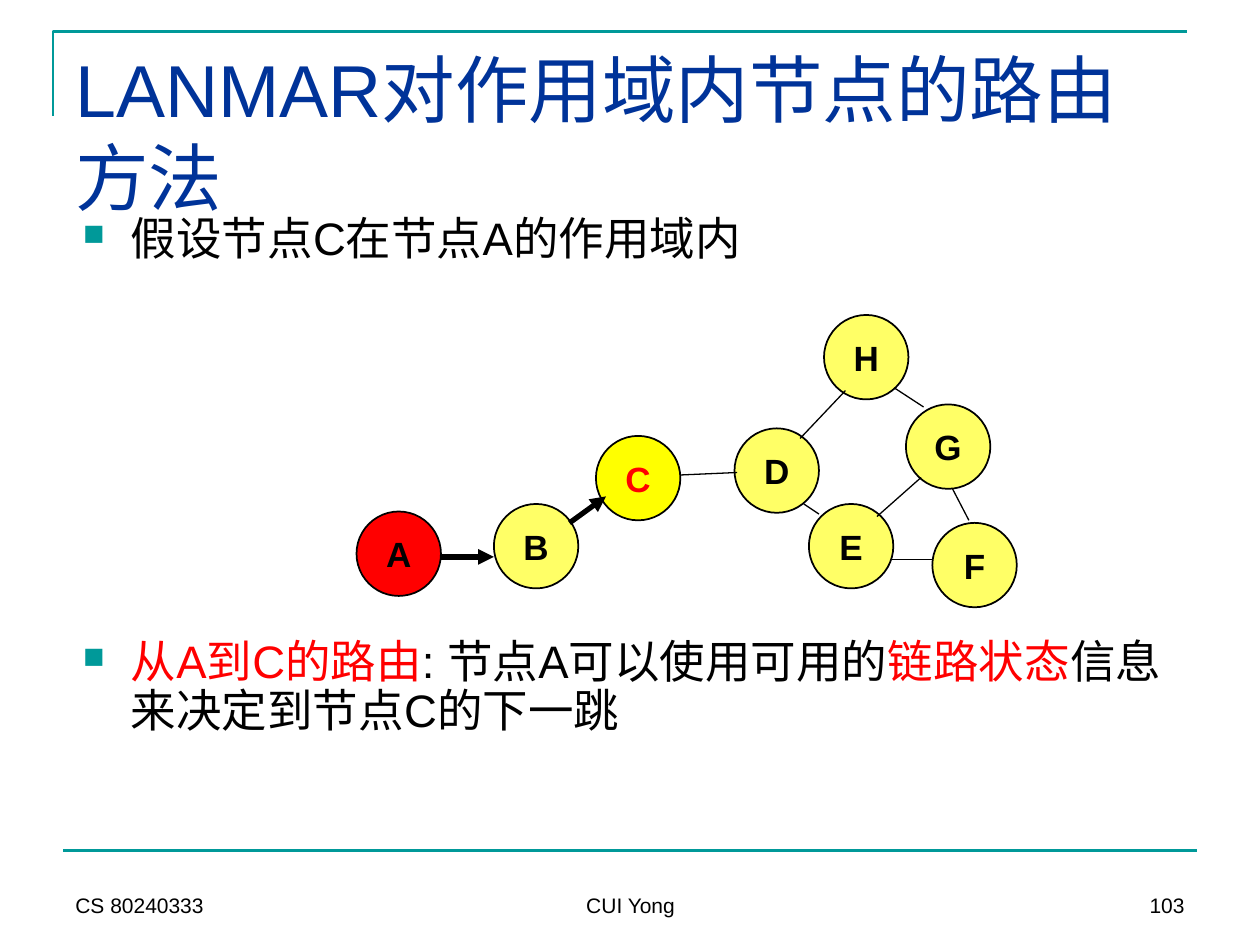
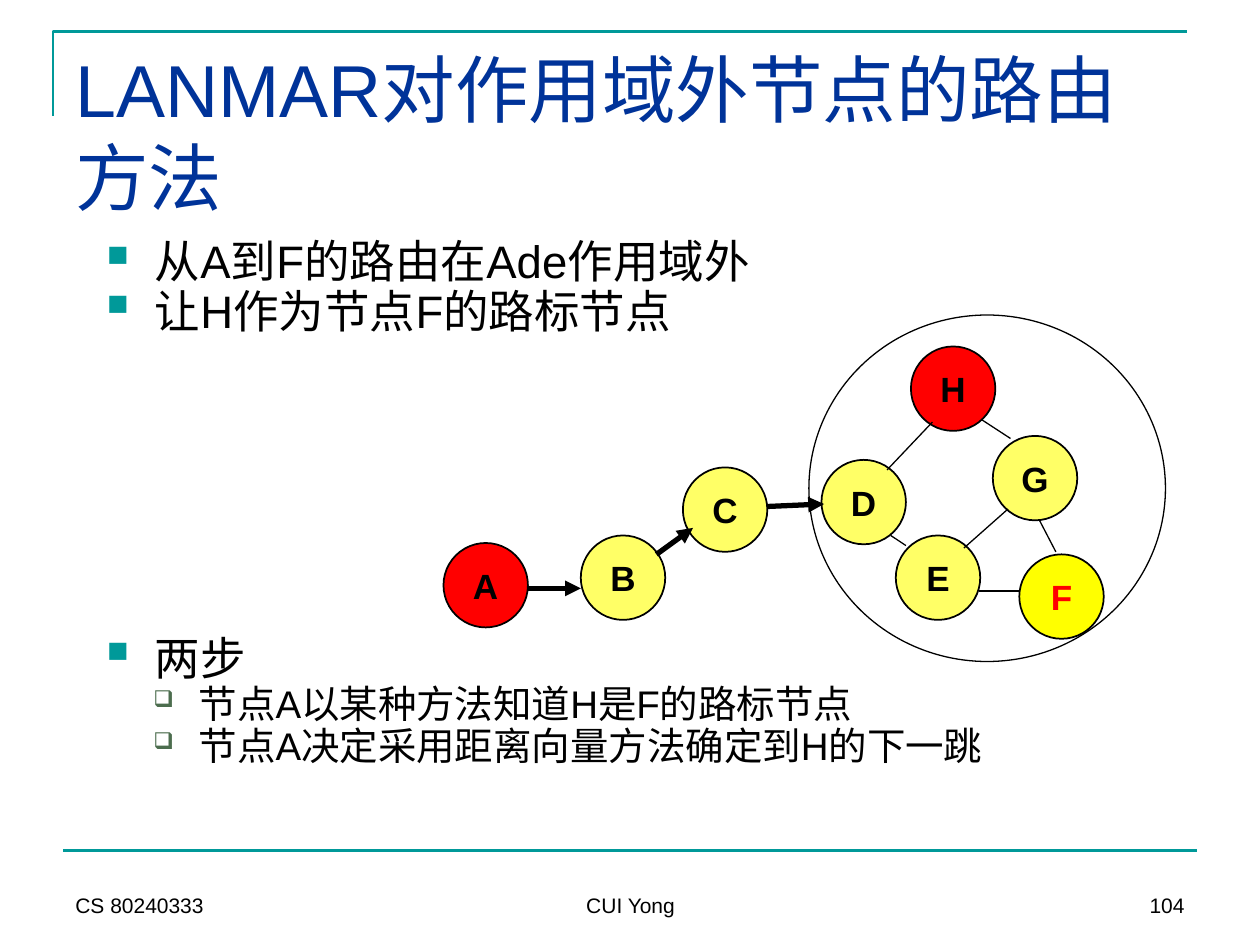
from lxml.etree import SubElement
from pptx import Presentation
from pptx.dml.color import RGBColor
from pptx.enum.shapes import MSO_CONNECTOR, MSO_SHAPE
from pptx.enum.text import MSO_ANCHOR, PP_ALIGN
from pptx.oxml.ns import qn
from pptx.util import Inches, Pt

TEAL, NAVY, BLACK = "009999", "003399", "000000"
RED, YELLOW, PALE = "FF0000", "FFFF00", "FFFF66"
SIZE = 0.67
NODES = {
    "A": (2.83, 4.06), "B": (3.92, 4), "C": (4.73, 3.46), "F": (7.4, 4.15),
    "H": (6.54, 2.5), "G": (7.19, 3.21), "E": (6.42, 4), "D": (5.83, 3.4),
}
EDGES = {
    "HG": (7.1, 3.08, 7.33, 3.23), "GF": (7.56, 3.88, 7.69, 4.13),
    "HD": (6.71, 3.1, 6.35, 3.48), "AB": (3.5, 4.42, 3.92, 4.42),
    "BC": (4.52, 4.15, 4.81, 3.94), "CD": (5.4, 3.77, 5.85, 3.75),
    "DE": (6.38, 4, 6.5, 4.08), "EF": (7.08, 4.44, 7.4, 4.44),
    "EG": (6.96, 4.1, 7.31, 3.79),
}
LEVELS = [
    dict(left=0.38, hang=0.38, size=26, before=6.5, mark="■", tint=TEAL, scale=65),
    dict(left=0.73, hang=0.36, size=22, before=5.5, mark="❑", tint="4C6D4E", scale=60),
]


def color(code):
    return RGBColor.from_string(code)


class Deck:
    """Holds the shared style and the slide being built."""

    def __init__(self):
        self.prs = Presentation()
        self.prs.slide_width, self.prs.slide_height = Inches(10), Inches(7.5)

    def page(self, title, number):
        self.slide = self.prs.slides.add_slide(self.prs.slide_layouts[6])
        self.shapes = self.slide.shapes
        self.frame()
        self.line(0.5, 6.75, 9.5, 6.75, TEAL, 1.5)
        foot = [(0.5, 2.33, "CS 80240333", PP_ALIGN.LEFT),
                (3.42, 3.17, "CUI Yong", PP_ALIGN.CENTER),
                (7.17, 2.33, str(number), PP_ALIGN.RIGHT)]
        for left, width, text, align in foot:
            self.text(left, 6.83, width, 0.5, text, 12, BLACK, align, MSO_ANCHOR.BOTTOM)
        self.text(0.5, 0.3, 9, 1.25, title, 42, NAVY)

    def frame(self):
        pen = self.shapes.build_freeform(Inches(0.42), Inches(0.92))
        pen.add_line_segments([(Inches(0.42), Inches(0.25)),
                               (Inches(9.42), Inches(0.25))], close=False)
        shape = pen.convert_to_shape()
        shape.shadow.inherit = False
        shape.fill.background()
        self.stroke(shape, TEAL, 1.5)

    def stroke(self, shape, code, width):
        shape.line.color.rgb = color(code)
        shape.line.width = Pt(width)

    def font(self, para, size, code=None, bold=False):
        para.font.name = "Arial"
        para.font.size = Pt(size)
        para.font.bold = bold
        if code:
            para.font.color.rgb = color(code)

    def box(self, left, top, width, height, anchor=MSO_ANCHOR.TOP):
        frame = self.shapes.add_textbox(*map(Inches, (left, top, width, height))).text_frame
        frame.word_wrap = True
        frame.vertical_anchor = anchor
        return frame

    def text(self, left, top, width, height, text, size, code,
             align=PP_ALIGN.LEFT, anchor=MSO_ANCHOR.TOP):
        para = self.box(left, top, width, height, anchor).paragraphs[0]
        para.text = text
        para.alignment = align
        self.font(para, size, code)

    def bullet(self, para, left, hang, mark, tint, scale):
        props = para._p.get_or_add_pPr()
        props.set("marL", str(Inches(left)))
        props.set("indent", str(-Inches(hang)))
        SubElement(SubElement(props, qn("a:buClr")), qn("a:srgbClr"), val=tint)
        SubElement(props, qn("a:buSzPct"), val=str(scale * 1000))
        SubElement(props, qn("a:buChar"), char=mark)

    def body(self, left, top, width, height, items, pitch):
        """Adds bullets given as (level, extra gap, text or coloured runs)."""
        frame = self.box(left, top, width, height)
        for pos, (level, gap, parts) in enumerate(items):
            para = frame.add_paragraph() if pos else frame.paragraphs[0]
            look = dict(LEVELS[level])
            size, before = look.pop("size"), look.pop("before")
            self.bullet(para, **look)
            para.level = level
            para.line_spacing = pitch
            para.space_before = Pt(before + gap if pos else 0)
            if isinstance(parts, str):
                para.text = parts
                self.font(para, size, BLACK)
                continue
            self.font(para, size)
            for text, code in parts:
                run = para.add_run()
                run.text = text
                run.font.color.rgb = color(code)

    def oval(self, left, top, width, height, fill=None, weight=0.75):
        shape = self.shapes.add_shape(
            MSO_SHAPE.OVAL, *map(Inches, (left, top, width, height)))
        shape.shadow.inherit = False
        if fill:
            shape.fill.solid()
            shape.fill.fore_color.rgb = color(fill)
        else:
            shape.fill.background()
        self.stroke(shape, BLACK, weight)
        return shape

    def node(self, left, top, name, fill, ink):
        frame = self.oval(left, top, SIZE, SIZE, fill, 1).text_frame
        frame.word_wrap = False
        frame.vertical_anchor = MSO_ANCHOR.MIDDLE
        para = frame.paragraphs[0]
        para.text = name
        para.alignment = PP_ALIGN.CENTER
        self.font(para, 20, ink, True)

    def line(self, x1, y1, x2, y2, code=BLACK, width=0.75, arrow=False):
        link = self.shapes.add_connector(
            MSO_CONNECTOR.STRAIGHT, *map(Inches, (x1, y1, x2, y2)))
        self.stroke(link, code, width)
        SubElement(link._element.spPr, qn("a:effectLst"))
        if arrow:
            SubElement(link.line._get_or_add_ln(), qn("a:tailEnd"), type="triangle")

    def graph(self, dx, dy, reds, goal, hops):
        for name, (x, y) in NODES.items():
            fill = RED if name in reds else YELLOW if name == goal else PALE
            self.node(x + dx, y + dy, name, fill, RED if name == goal else BLACK)
        for name, (x1, y1, x2, y2) in EDGES.items():
            hop = name in hops
            self.line(x1 + dx, y1 + dy, x2 + dx, y2 + dy,
                      width=3 if hop else 0.75, arrow=hop)


def main():
    deck = Deck()

    deck.page("LANMAR对作用域内节点的路由方法", 103)
    deck.body(0.56, 1.67, 9, 4.95, [
        (0, 0, "假设节点C在节点A的作用域内"),
        (0, 207, [("从A到C的路由", RED), (": 节点A可以使用可用的", BLACK),
                  ("链路状态", RED), ("信息来决定到节点C的下一跳", BLACK)]),
    ], 0.9)
    deck.graph(0, 0, "A", "C", ["AB", "BC"])

    deck.page("LANMAR对作用域外节点的路由方法", 104)
    deck.body(0.75, 1.92, 8.5, 5.11, [
        (0, 0, "从A到F的路由在Ade作用域外"),
        (0, 0, "让H作为节点F的路标节点"),
        (0, 170, "两步"),
        (1, 0, "节点A以某种方法知道H是F的路标节点"),
        (1, 0, "节点A决定采用距离向量方法确定到H的下一跳"),
    ], 0.7)
    deck.graph(0.69, 0.25, "AH", "F", ["AB", "BC", "CD"])
    deck.oval(6.42, 2.5, 2.83, 2.75)

    deck.prs.save("out.pptx")


if __name__ == "__main__":
    main()
